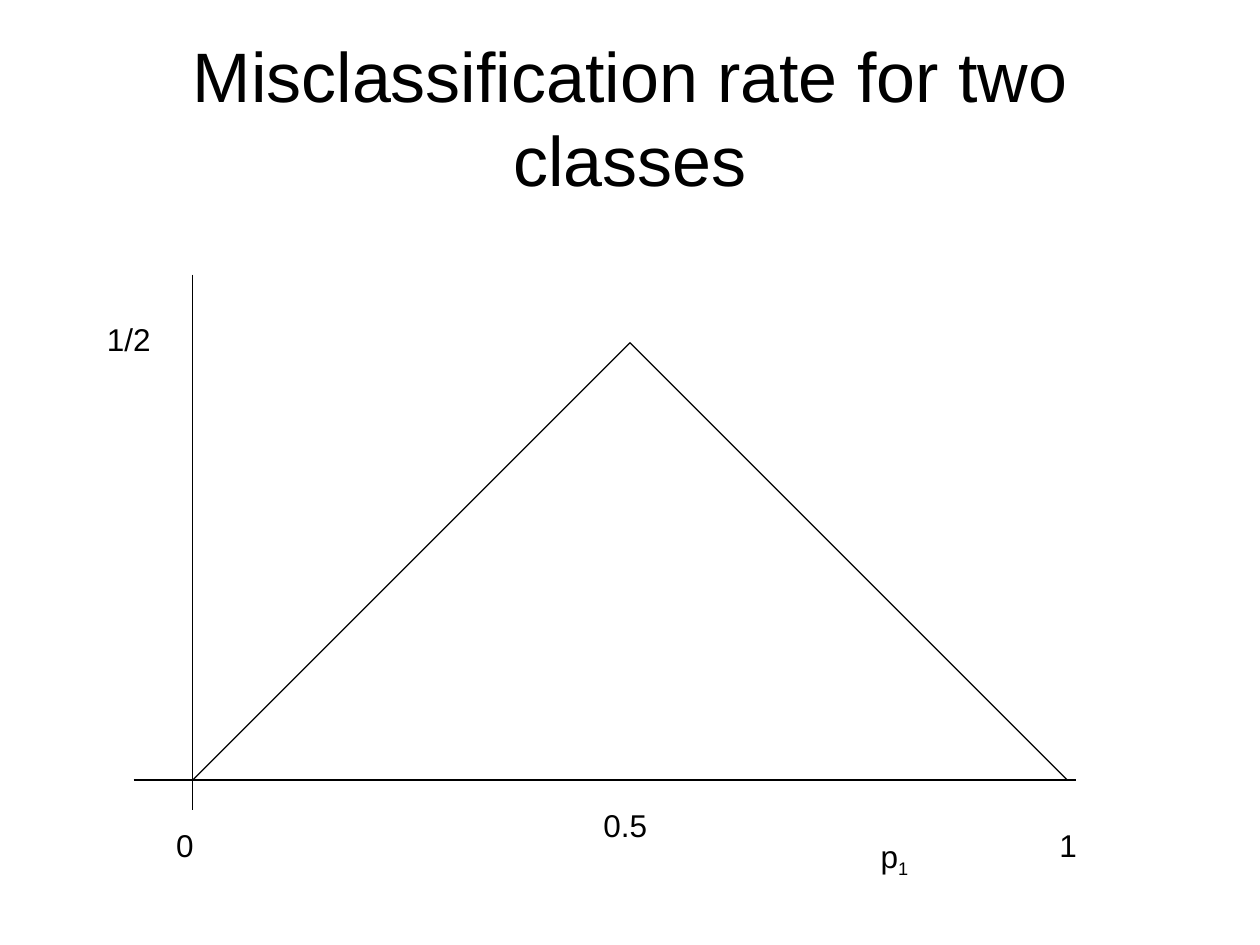
import pptx
import pptx.util
import pptx.dml.color
import pptx.enum.shapes
import pptx.enum.text
import pptx.oxml.ns
from lxml import etree
from pptx.util import Inches

BLACK = pptx.dml.color.RGBColor(0, 0, 0)
FONT = "Arial"
ALIGN = pptx.enum.text.PP_ALIGN
ANCHOR = pptx.enum.text.MSO_ANCHOR


def add_text(slide, text, left, top, width, height, size=18, align=ALIGN.LEFT,
             anchor=ANCHOR.TOP, subscript=""):
    tf = slide.shapes.add_textbox(left, top, width, height).text_frame
    tf.word_wrap = True
    tf.vertical_anchor = anchor
    p = tf.paragraphs[0]
    p.alignment = align
    for part in filter(None, (text, subscript)):
        r = p.add_run()
        r.text = part
        r.font.name = FONT
        r.font.size = pptx.util.Pt(size)
        r.font.color.rgb = BLACK
    if subscript:
        r.font._element.set("baseline", "-25000")


def add_line(slide, start, end):
    line = slide.shapes.add_connector(
        pptx.enum.shapes.MSO_CONNECTOR.STRAIGHT, *start, *end)
    line.line.color.rgb = BLACK
    line.line.width = pptx.util.Pt(0.75)
    etree.SubElement(line._element.spPr, pptx.oxml.ns.qn("a:effectLst"))


def add_title(slide, left, top, width, height):
    add_text(slide, "Misclassification rate for two classes", left, top, width,
             height, size=40, align=ALIGN.CENTER, anchor=ANCHOR.MIDDLE)


def add_rate_plot(slide, left, top, width, height):
    """Draw the axes across the box, the rate curve and the axis labels."""
    right, bottom = left + width, top + height
    x0, y0 = left + Inches(0.47), bottom - Inches(0.24)
    half = Inches(3.47)
    origin, peak, end = (x0, y0), (x0 + half, y0 - half), (x0 + 2 * half, y0)

    add_line(slide, (x0, top), (x0, bottom))
    add_line(slide, (left, y0), (right, y0))
    add_line(slide, origin, peak)
    add_line(slide, peak, end)

    labels = [
        ("0", origin, -0.23, 0.32, 0.63, 0.4, ""),
        ("1", end, -0.16, 0.32, 0.55, 0.4, ""),
        ("1/2", (x0, peak[1]), -0.78, -0.23, 0.63, 0.4, ""),
        ("0.5", (peak[0], y0), -0.31, 0.16, 0.63, 0.4, ""),
        ("p", (peak[0], y0), 1.89, 0.4, 0.71, 0.94, "1"),
    ]
    for text, (x, y), dx, dy, w, h, subscript in labels:
        add_text(slide, text, x + Inches(dx), y + Inches(dy), Inches(w),
                 Inches(h), subscript=subscript)


def main():
    prs = pptx.Presentation()
    prs.slide_width, prs.slide_height = Inches(10), Inches(7.5)
    slide = prs.slides.add_slide(prs.slide_layouts[6])
    add_title(slide, Inches(0.5), Inches(0.3), Inches(9), Inches(1.25))
    add_rate_plot(slide, Inches(1.06), Inches(2.18), Inches(7.48), Inches(4.25))
    prs.save("out.pptx")


if __name__ == "__main__":
    main()
